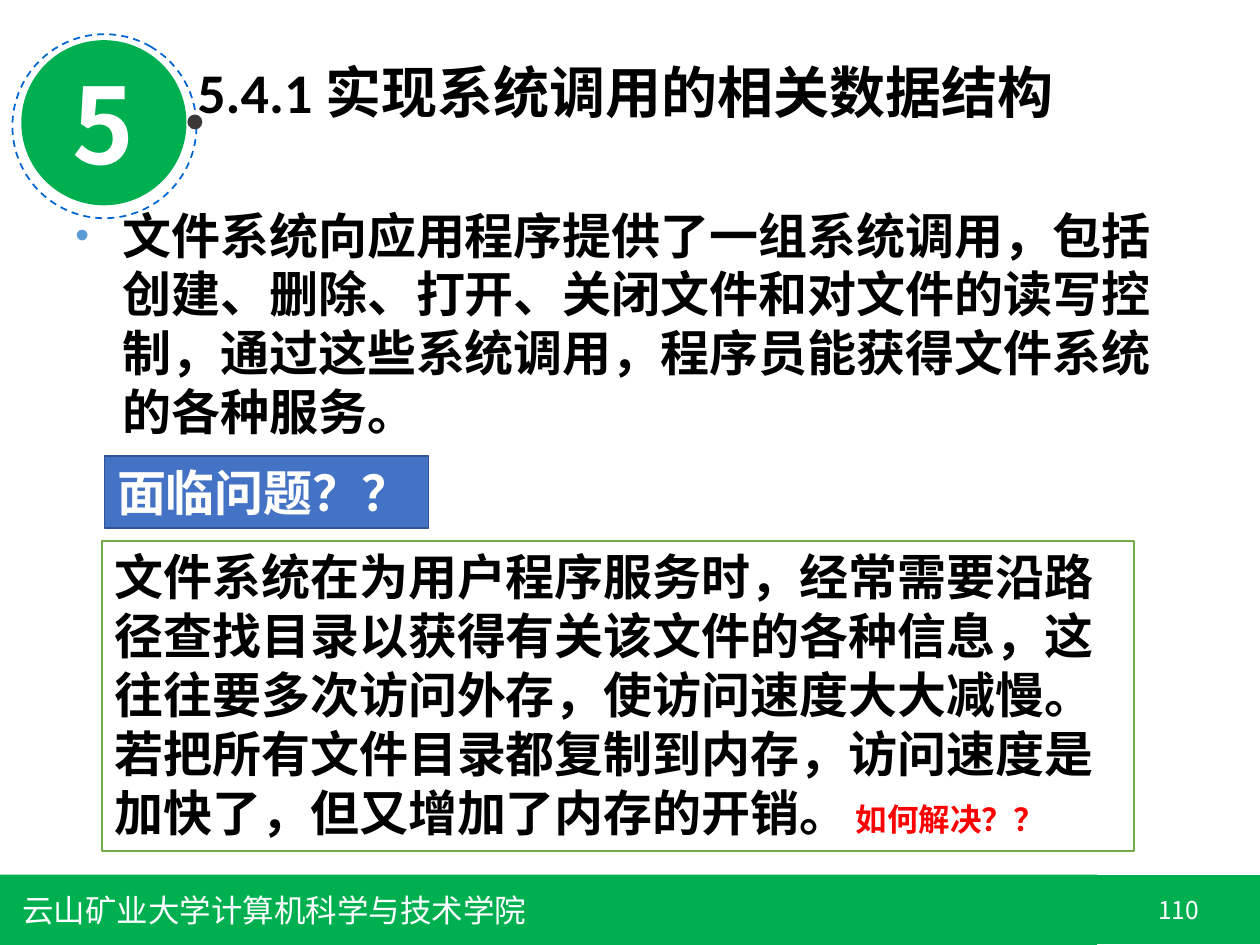
from lxml import etree
from pptx import Presentation
from pptx.dml.color import RGBColor
from pptx.enum.dml import MSO_LINE
from pptx.enum.shapes import MSO_SHAPE
from pptx.enum.text import MSO_ANCHOR, PP_ALIGN
from pptx.oxml.ns import qn
from pptx.util import Cm, Pt

COLORS = {
    "green": "00B050", "white": "FFFFFF", "black": "000000", "red": "FF0000",
    "ring": "0064D2", "dot": "3B3838", "bullet": "5B9BD5",
    "box line": "70AD47", "label": "4472C4", "label line": "325491",
}
FONT = "Noto Sans CJK SC"

presentation = Presentation()
presentation.slide_width, presentation.slide_height = Cm(25.4), Cm(19.05)
slide = presentation.slides.add_slide(presentation.slide_layouts[6])


def add_block(left, top, width, height, kind=MSO_SHAPE.RECTANGLE, fill=None, line=None):
    shape = slide.shapes.add_shape(kind, Cm(left), Cm(top), Cm(width), Cm(height))
    shape.shadow.inherit = False
    if fill:
        shape.fill.solid()
        shape.fill.fore_color.rgb = RGBColor.from_string(COLORS[fill])
    else:
        shape.fill.background()
    if line:
        shape.line.color.rgb = RGBColor.from_string(COLORS[line])
        shape.line.width = Pt(1)
    else:
        shape.line.fill.background()
    return shape


def write(shape, text, size=28, color="black", bold=True, font=FONT, wrap=True,
          align=PP_ALIGN.LEFT, anchor=MSO_ANCHOR.TOP, spacing=None):
    frame = shape.text_frame
    frame.word_wrap = wrap
    frame.vertical_anchor = anchor
    paragraph = frame.paragraphs[0]
    paragraph.alignment = align
    if spacing:
        paragraph.line_spacing = spacing
    run = paragraph.add_run()
    run.text = text
    run.font.size = Pt(size)
    run.font.bold = bold
    run.font.name = font
    run.font.color.rgb = RGBColor.from_string(COLORS[color])
    east_asian = etree.SubElement(run.font._element, qn("a:ea"))
    east_asian.set("typeface", FONT)
    return paragraph


# Footer band with school name and page number
page_number = add_block(22.12, 17.65, 3.28, 1.37, fill="green")
write(page_number, "110", size=14, color="white", bold=False,
      align=PP_ALIGN.CENTER, anchor=MSO_ANCHOR.MIDDLE)
add_block(0, 17.63, 22.12, 1.42, fill="green")
add_block(19.89, 17.65, 5.51, 1.37, line="green")
school = slide.shapes.add_textbox(Cm(0.2), Cm(17.83), Cm(12.9), Cm(1.02))
write(school, "云山矿业大学计算机科学与技术学院", size=18, color="white", bold=False)

# Chapter badge: dashed ring, dot and numbered disc
ring = add_block(0.25, 0.69, 3.71, 3.71, MSO_SHAPE.OVAL, line="ring")
ring.line.dash_style = MSO_LINE.DASH
ring.rotation = 120
add_block(3.78, 2.31, 0.3, 0.3, MSO_SHAPE.OVAL, fill="dot")
disc = add_block(0.43, 0.81, 3.33, 3.33, MSO_SHAPE.OVAL, fill="green")
write(disc, "5", size=60, color="white", align=PP_ALIGN.CENTER, anchor=MSO_ANCHOR.MIDDLE)

# Title
title = slide.shapes.add_textbox(Cm(3.73), Cm(1.04), Cm(19.94), Cm(1.63))
write(title, "5.4.1 实现系统调用的相关数据结构", size=32, font="Calibri")

# Bulleted introduction
introduction = slide.shapes.add_textbox(Cm(1.27), Cm(4.01), Cm(22.86), Cm(4.9))
paragraph = write(
    introduction,
    "文件系统向应用程序提供了一组系统调用，包括创建、删除、打开、关闭文件和对文件的读写控制，"
    "通过这些系统调用，程序员能获得文件系统的各种服务。")
paragraph.space_before = Pt(5.6)
properties = paragraph._p.get_or_add_pPr()
properties.set("marL", str(Cm(0.95)))
properties.set("indent", str(-Cm(0.95)))
bullet_color = etree.SubElement(properties, qn("a:buClr"))
etree.SubElement(bullet_color, qn("a:srgbClr")).set("val", COLORS["bullet"])
etree.SubElement(properties, qn("a:buSzPct")).set("val", "80000")
etree.SubElement(properties, qn("a:buFont")).set("typeface", "Arial")
etree.SubElement(properties, qn("a:buChar")).set("char", "•")

# Problem statement, ending in a red question
problem = add_block(2.06, 10.9, 20.8, 6.25, fill="white", line="box line")
write(problem,
      "文件系统在为用户程序服务时，经常需要沿路径查找目录以获得有关该文件的各种信息，"
      "这往往要多次访问外存，使访问速度大大减慢。若把所有文件目录都复制到内存，"
      "访问速度是加快了，但又增加了内存的开销。")
write(problem, " ", size=18)
write(problem, "如何解决？？", size=18, color="red")

# Problem label
label = add_block(2.11, 9.19, 6.53, 1.45, fill="label", line="label line")
write(label, "面临问题？？", color="white", wrap=False)

presentation.save("out.pptx")
